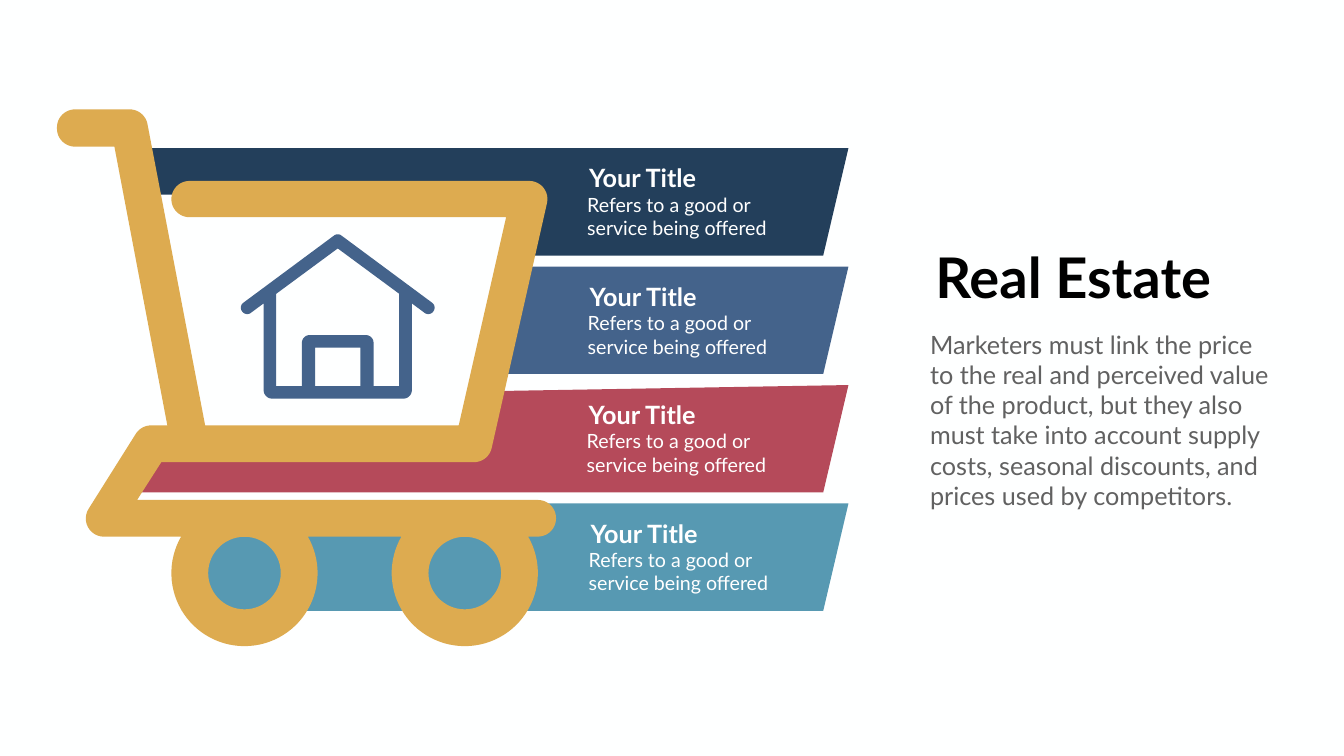
"""Build a shopping-cart infographic slide with four labelled bands."""
from math import atan2, cos, hypot, pi, radians, sin, tan
from pptx import Presentation
from pptx.dml.color import RGBColor as RGB
from pptx.enum.text import MSO_ANCHOR as Anchor, PP_ALIGN as Align
from pptx.util import Inches, Pt

THEME = {
    "font": "Lato", "paper": "FEFFFF", "cart": "DDAB50", "house": "44638B",
    "light": "FFFFFF", "dark": "000000", "grey": "616161",
    "head": 80, "body": 36, "name": 36, "note": 28,
}
TITLE = "Real Estate"
BODY = ("Marketers must link the price to the real and perceived value of the product, "
        "but they also must take into account supply costs, seasonal discounts, "
        "and prices used by competitors.")
NOTE = "Refers to a good or\nservice being offered"
BANDS = [
    {"name": "Your Title", "note": NOTE, "fill": "233F5B", "foot": 2.8, "head": 2.8, "drop": 0, "text": 11.55},
    {"name": "Your Title", "note": NOTE, "fill": "44638B", "foot": 3.61, "head": 3.61, "drop": 0, "text": 11.56},
    {"name": "Your Title", "note": NOTE, "fill": "B54A5A", "foot": 2.48, "head": 3.96, "drop": 0.22, "text": 11.54},
    {"name": "Your Title", "note": NOTE, "fill": "5799B2", "foot": 3.61, "head": 3.61, "drop": 0, "text": 11.58},
]
TOP, PITCH, TALL = 2.94, 2.35, 2.13
BASKET = [(2.8, 3.86), (10.44, 3.86), (9.38, 8.88), (3.69, 8.76)]

AXIS = 6.7
WALLS = [(0, 4.62, 0.12), (1.97, 6.08, 0.12), (1.82, 6.28, 0.12), (1.47, 6.02, 0), (1.47, 7.91, 0.17)]
ROOM = [(0, 4.93, 0), (1.22, 5.83, 0), (1.22, 7.66, 0), (0.71, 7.66, 0), (0.71, 6.65, 0.15)]
DOOR = [(0.45, 6.9, 0), (0.45, 7.66, 0)]

HUBS, AXLE, TYRE, HUB = (9.22, 4.85), 11.37, 1.45, 0.72
FRAME = [
    (2.8, 8.44, 0.36), (3.32, 8.44, 0), (2.27, 2.91, 0), (1.13, 2.91, 0.36),
    (1.13, 2.17, 0.36), (2.87, 2.17, 0.36), (4.07, 8.44, 0), (9.1, 8.44, 0),
    (10.04, 4.31, 0), (3.4, 4.31, 0.36), (3.4, 3.59, 0.36), (10.95, 3.59, 0.36),
    (9.69, 9.17, 0.36), (3.2, 9.17, 0), (2.72, 9.92, 0), (11.03, 9.92, 0.36),
    (11.03, 10.65, 0.36),
]
HEEL = (1.41, 10.65, 0.36)


def arc(x, y, size, start, end, steps):
    """Return points along an arc, with angles in radians."""
    turns = [start + (end - start) * i / steps for i in range(steps + 1)]
    return [(x + size * cos(t), y + size * sin(t)) for t in turns]


def unit(x, y):
    """Scale a vector to length one."""
    size = hypot(x, y)
    return x / size, y / size


def soften(spots):
    """Turn corners of (x, y, radius) into a smooth outline."""
    path = []
    for i, (x, y, size) in enumerate(spots):
        if not size:
            path.append((x, y))
            continue
        last, after = spots[i - 1], spots[(i + 1) % len(spots)]
        ux, uy = unit(last[0] - x, last[1] - y)
        vx, vy = unit(after[0] - x, after[1] - y)
        half = abs(atan2(ux * vy - uy * vx, ux * vx + uy * vy)) / 2
        mx, my = unit(ux + vx, uy + vy)
        cx, cy = x + mx * size / sin(half), y + my * size / sin(half)
        reach = size / tan(half)
        start = atan2(y + uy * reach - cy, x + ux * reach - cx)
        end = atan2(y + vy * reach - cy, x + vx * reach - cx)
        sweep = (end - start + pi) % (2 * pi) - pi
        path += arc(cx, cy, size, start, start + sweep, 12)
    return path


def mirror(half):
    """Complete a half outline around the axis of the house."""
    left = [(-x, y, size) for x, y, size in reversed(half) if x]
    return soften([(AXIS + x, y, size) for x, y, size in half + left])


def draw(slide, paths, fill):
    """Draw closed outlines as one filled shape."""
    pen = None
    for path in paths:
        spots = [(Inches(x), Inches(y)) for x, y in path]
        if pen is None:
            pen = slide.shapes.build_freeform(*spots[0], scale=1.0)
        else:
            pen.move_to(*spots[0])
        pen.add_line_segments(spots[1:], close=True)
    shape = pen.convert_to_shape()
    shape.shadow.inherit = False
    shape.fill.solid()
    shape.fill.fore_color.rgb = RGB.from_string(fill)
    shape.line.fill.background()


def write(shape, spot, text, size, tint, bold=False, align=Align.LEFT):
    """Place a text shape and format its words."""
    shape.left, shape.top, shape.width, shape.height = map(Inches, spot)
    frame = shape.text_frame
    frame.text = text
    frame.word_wrap = True
    frame.vertical_anchor = Anchor.TOP
    for para in frame.paragraphs:
        para.alignment = align
        for run in para.runs:
            font = run.font
            font.name, font.size, font.bold = THEME["font"], Pt(THEME[size]), bold
            font.color.rgb = RGB.from_string(THEME[tint])


def label(slide, spot, *style):
    """Add a text box."""
    write(slide.shapes.add_textbox(0, 0, 0, 0), spot, *style)


def main():
    """Build and save the slide."""
    deck = Presentation()
    deck.slide_width, deck.slide_height = Inches(26.66), Inches(15)
    slide = deck.slides.add_slide(deck.slide_layouts[5])
    slide.background.fill.solid()
    slide.background.fill.fore_color.rgb = RGB.from_string(THEME["paper"])

    for i, band in enumerate(BANDS):
        top = TOP + i * PITCH
        base = top + TALL
        draw(slide, [[(16.33, base), (band["foot"], base),
                      (band["head"], top + band["drop"]), (16.83, top)]], band["fill"])
    draw(slide, [BASKET], THEME["paper"])
    draw(slide, [mirror(part) for part in (WALLS, ROOM, DOOR)], THEME["house"])

    tyres = [(x, y, 0) for hub in HUBS
             for x, y in arc(hub, AXLE, TYRE, radians(-30), radians(210), 60)]
    holes = [arc(hub, AXLE, HUB, 0, 2 * pi, 60) for hub in HUBS]
    draw(slide, [soften(FRAME + tyres + [HEEL])] + holes, THEME["cart"])

    for i, band in enumerate(BANDS):
        top, left = TOP + i * PITCH, band["text"]
        label(slide, (left, top + 0.83, 3.92, 1.01), band["note"], "note", "light")
        label(slide, (left + 0.04, top + 0.24, 2.54, 0.51), band["name"], "name", "light", True)
    write(slide.shapes.title, (18.36, 4.77, 5.86, 1.45), TITLE, "head", "dark", True, Align.CENTER)
    label(slide, (18.35, 6.48, 7.01, 3.65), BODY, "body", "grey")
    deck.save("out.pptx")


if __name__ == "__main__":
    main()
